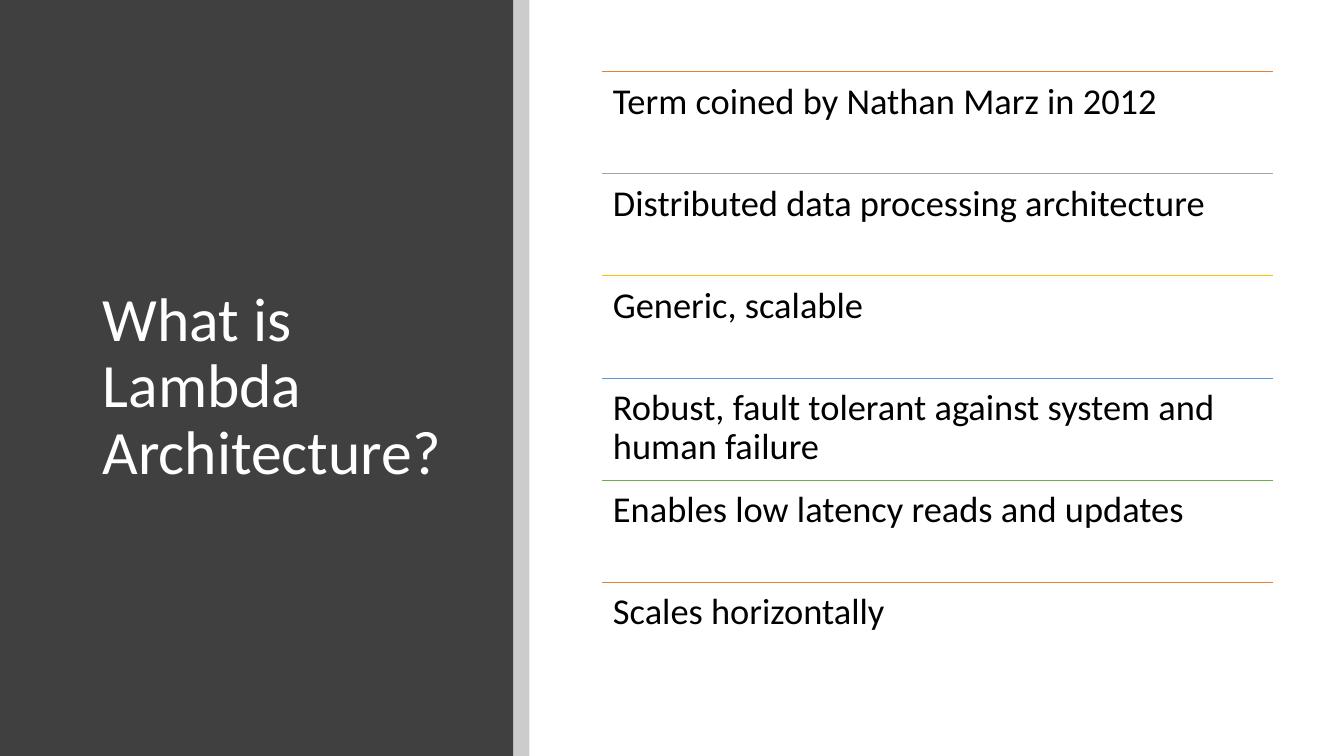
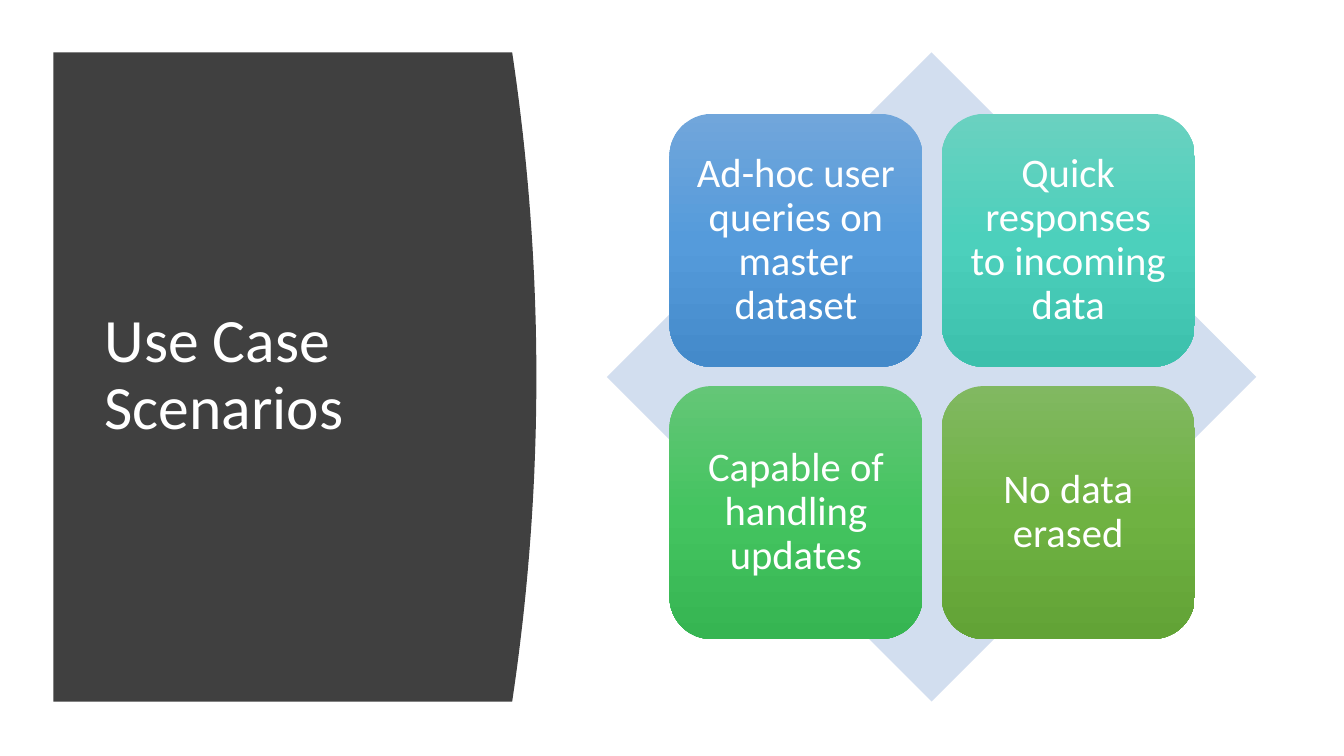
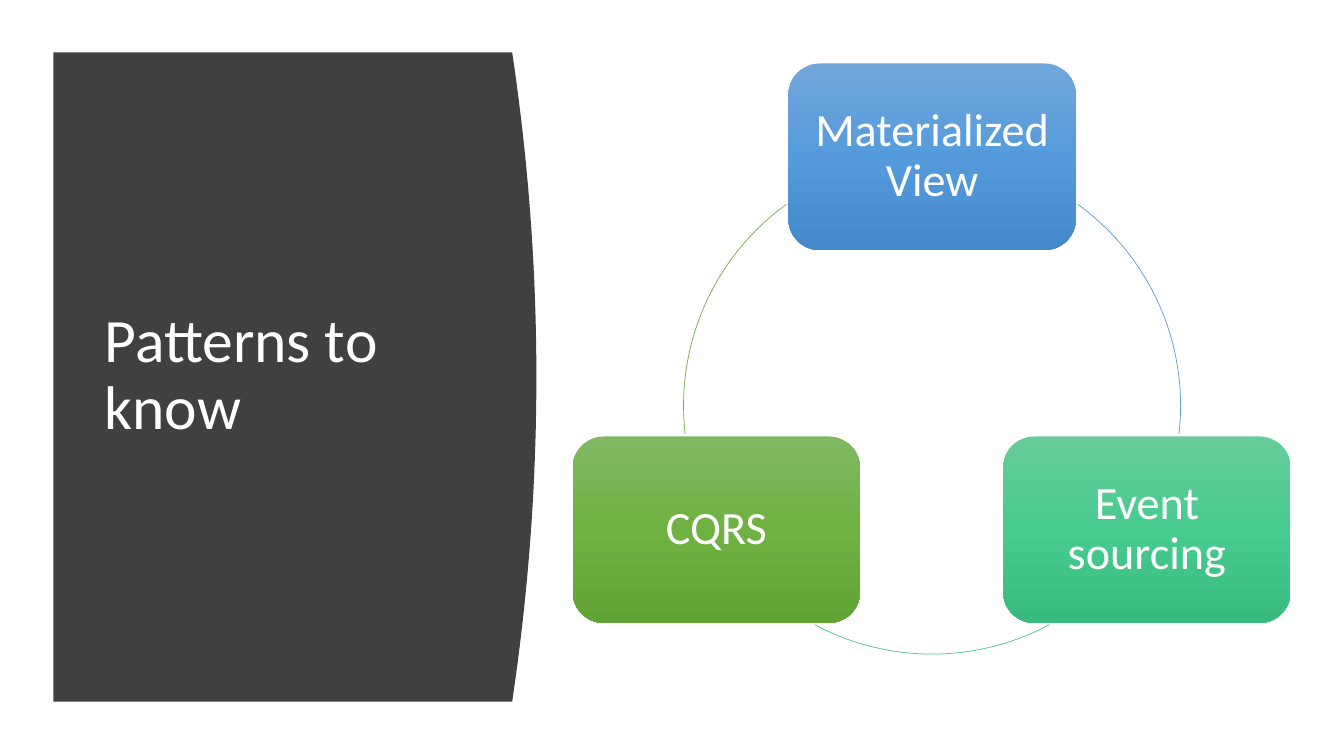
"""Builds three slides introducing the Lambda Architecture."""
from copy import deepcopy

from lxml.etree import SubElement
from pptx import Presentation
from pptx.dml.color import RGBColor
from pptx.enum.shapes import MSO_CONNECTOR, MSO_SHAPE
from pptx.enum.text import MSO_ANCHOR, PP_ALIGN
from pptx.oxml.ns import qn
from pptx.util import Inches, Pt

FONT = "Calibri"
DARK, WHITE, BLACK = "404040", "FFFFFF", "000000"
DIAMOND_TINT = "D2DEEF"
ORANGE, GRAY, GOLD, BLUE, GREEN, SEA = "ED7D31", "A5A5A5", "FFC000", "5B9BD5", "70AD47", "4DC58D"
BLUE_SHADES = ("71A6DB", "559BDB", "448ACA")
TEAL_SHADES = ("6AD1C0", "4CD0BC", "3CC0AC")
EMERALD_SHADES = ("64C677", "44C460", "36B552")
SEA_SHADES = ("67CC9A", "47CB8E", "39BB7F")
GREEN_SHADES = ("81B861", "6FB242", "62A336")


def rgb(code):
    return RGBColor.from_string(code)


class Deck:
    """Holds the shared style, the presentation and the current slide."""

    def __init__(self):
        self.show = Presentation()
        self.show.slide_width, self.show.slide_height = Inches(13.33), Inches(7.5)
        self.slide = None

    def new_slide(self):
        self.slide = self.show.slides.add_slide(self.show.slide_layouts[6])

    def paint(self, shape, color):
        shape.shadow.inherit = False
        shape.line.fill.background()
        shape.fill.solid()
        shape.fill.fore_color.rgb = rgb(color)

    def shape(self, preset, left, top, width, height, color):
        shape = self.slide.shapes.add_shape(
            preset, Inches(left), Inches(top), Inches(width), Inches(height))
        self.paint(shape, color)
        return shape

    def veil(self, left, top, width, height, color, opacity):
        band = self.shape(MSO_SHAPE.RECTANGLE, left, top, width, height, color)
        tint = band._element.spPr.find(qn("a:solidFill"))[0]
        SubElement(tint, qn("a:alpha")).set("val", str(opacity * 1000))

    def set_text(self, shape, text, size, color, margin, anchor, align=PP_ALIGN.LEFT):
        frame = shape.text_frame
        frame.text = text
        frame.word_wrap = True
        frame.vertical_anchor = anchor
        frame.margin_left = frame.margin_right = Inches(margin)
        frame.margin_top = frame.margin_bottom = Inches(margin)
        paragraph = frame.paragraphs[0]
        paragraph.alignment = align
        paragraph.line_spacing = 0.9
        font = paragraph.runs[0].font
        font.name, font.size, font.color.rgb = FONT, Pt(size), rgb(color)

    def text(self, text, left, top, width, height, size, color, margin, anchor):
        box = self.slide.shapes.add_textbox(
            Inches(left), Inches(top), Inches(width), Inches(height))
        self.set_text(box, text, size, color, margin, anchor)

    def title(self, text, left, top, width, height):
        self.text(text, left, top, width, height, 44, WHITE, 0.1, MSO_ANCHOR.MIDDLE)

    def curved_panel(self, title):
        left, top, side, bulge, height, steps = 0.53, 0.52, 5.08, 0.24, 6.44, 40
        edge = []
        for step in range(steps + 1):
            offset = 2 * step / steps - 1
            edge.append((Inches(side + bulge * (1 - offset ** 2)),
                         Inches(top + height * step / steps)))
        outline = self.slide.shapes.build_freeform(Inches(left), Inches(top))
        outline.add_line_segments(edge + [(Inches(left), Inches(top + height))], close=True)
        self.paint(outline.convert_to_shape(), DARK)
        self.title(title, 0.94, 1.11, 3.74, 5.24)

    def rule(self, left, right, top, color):
        line = self.slide.shapes.add_connector(
            MSO_CONNECTOR.STRAIGHT, Inches(left), Inches(top), Inches(right), Inches(top))
        line.line.color.rgb = rgb(color)
        line.line.width = Pt(0.5)
        SubElement(line._element.spPr, qn("a:effectLst"))

    def card(self, text, left, top, width, height, shades, size, margin):
        card = self.shape(MSO_SHAPE.ROUNDED_RECTANGLE, left, top, width, height, shades[0])
        card.fill.gradient()
        card.fill.gradient_angle = 270
        stop_list = card._element.spPr.find(qn("a:gradFill")).find(qn("a:gsLst"))
        stop_list.append(deepcopy(stop_list[0]))
        for stop, shade, position in zip(card.fill.gradient_stops, shades, (0, 0.5, 1)):
            stop.color.rgb = rgb(shade)
            stop.position = position
        self.set_text(card, text, size, WHITE, margin, MSO_ANCHOR.MIDDLE, PP_ALIGN.CENTER)

    def arc(self, left, top, diameter, start, end, color):
        arc = self.shape(MSO_SHAPE.ARC, left, top, diameter, diameter, color)
        arc.fill.background()
        arc.line.color.rgb = rgb(color)
        arc.line.width = Pt(0.5)
        for index, degrees in enumerate((start, end)):
            arc.adjustments[index] = degrees * 0.6


def definition_slide(deck):
    deck.new_slide()
    deck.shape(MSO_SHAPE.RECTANGLE, 0, 0, 5.09, 7.5, DARK)
    deck.title("What is Lambda Architecture?", 0.92, 0.89, 3.65, 5.91)
    deck.veil(5.09, 0, 0.16, 7.5, BLACK, 20)
    points = [
        ("Term coined by Nathan Marz in 2012", ORANGE),
        ("Distributed data processing architecture", GRAY),
        ("Generic, scalable", GOLD),
        ("Robust, fault tolerant against system and human failure", BLUE),
        ("Enables low latency reads and updates", GREEN),
        ("Scales horizontally", ORANGE),
    ]
    left, width, first_top, list_height = 5.97, 6.66, 0.71, 6.08
    row_height = list_height / len(points)
    for row, (point, color) in enumerate(points):
        top = first_top + row * row_height
        deck.rule(left, left + width, top, color)
        deck.text(point, left, top, width, row_height, 26, BLACK, 0.11, MSO_ANCHOR.TOP)


def scenarios_slide(deck):
    deck.new_slide()
    deck.curved_panel("Use Case Scenarios")
    deck.shape(MSO_SHAPE.DIAMOND, 6.02, 0.52, 6.44, 6.44, DIAMOND_TINT)
    scenarios = [
        ("Ad-hoc user queries on master dataset", BLUE_SHADES),
        ("Quick responses to incoming data", TEAL_SHADES),
        ("Capable of handling updates", EMERALD_SHADES),
        ("No data erased", GREEN_SHADES),
    ]
    side, pitch = 2.51, 2.7
    for index, (scenario, shades) in enumerate(scenarios):
        row, column = divmod(index, 2)
        deck.card(scenario, 6.64 + column * pitch, 1.13 + row * pitch,
                  side, side, shades, 29, 0.12)


def patterns_slide(deck):
    deck.new_slide()
    deck.curved_panel("Patterns to know")
    patterns = [
        ("Materialized View", 7.82, 0.63, BLUE_SHADES, 305.9, 6.6, BLUE),
        ("Event sourcing", 9.95, 4.33, SEA_SHADES, 61.8, 118.2, SEA),
        ("CQRS", 5.68, 4.33, GREEN_SHADES, 173.4, 234.1, GREEN),
    ]
    for pattern, left, top, shades, start, end, color in patterns:
        deck.card(pattern, left, top, 2.85, 1.85, shades, 33, 0.14)
        deck.arc(6.78, 1.56, 4.93, start, end, color)


def main():
    deck = Deck()
    definition_slide(deck)
    scenarios_slide(deck)
    patterns_slide(deck)
    deck.show.save("out.pptx")


if __name__ == "__main__":
    main()
